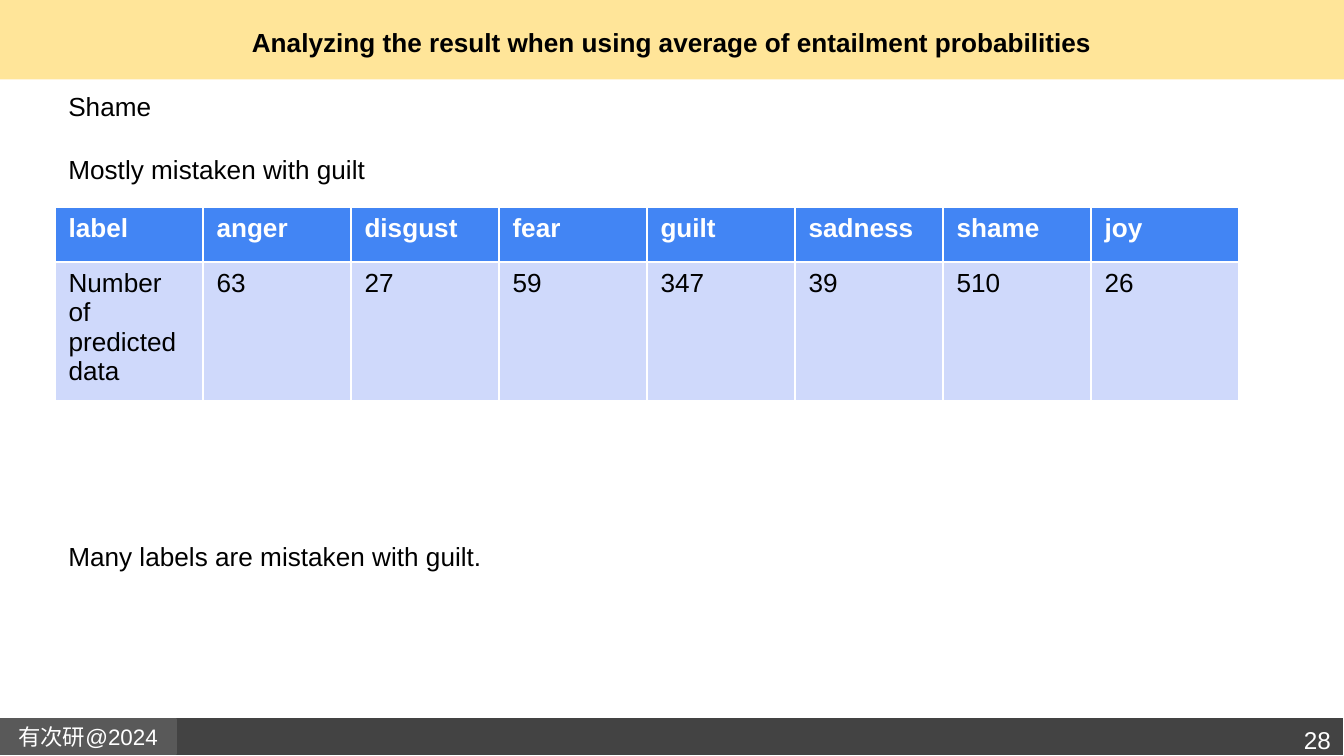
"""Build the slide on labels predicted for shame."""
from pptx import Presentation
from pptx.dml.color import RGBColor
from pptx.enum.shapes import MSO_SHAPE
from pptx.enum.text import MSO_ANCHOR, MSO_AUTO_SIZE, PP_ALIGN
from pptx.util import Inches, Pt

COLORS = {
    "band": "FFE599", "footer": "434343", "tag": "595959",
    "header": "4285F4", "row": "CFD9FB", "white": "FFFFFF", "black": "000000",
}
COUNTS = {
    "label": "Number of predicted data", "anger": "63", "disgust": "27",
    "fear": "59", "guilt": "347", "sadness": "39", "shame": "510", "joy": "26",
}


def rgb(name):
    return RGBColor.from_string(COLORS[name])


def style(p, color="black", size=14, bold=False, align=PP_ALIGN.LEFT):
    p.alignment = align
    p.font.name = "Arial"
    p.font.size = Pt(size)
    p.font.bold = bold
    p.font.color.rgb = rgb(color)


def add_bar(s, box, fill, line=None):
    sp = s.shapes.add_shape(MSO_SHAPE.RECTANGLE, *map(Inches, box))
    sp.shadow.inherit = False
    sp.fill.solid()
    sp.fill.fore_color.rgb = rgb(fill)
    if line:
        sp.line.color.rgb = rgb(line)
        sp.line.width = Pt(0.75)
    else:
        sp.line.fill.background()
    return sp


def add_text(s, box, lines, **font):
    tf = s.shapes.add_textbox(*map(Inches, box)).text_frame
    tf.word_wrap = True
    tf.text = "\n".join(lines)
    for i, p in enumerate(tf.paragraphs):
        if i:
            p.space_before = Pt(17)
        style(p, **font)


def set_title(s, text):
    title = s.shapes.title
    title.left, title.top = Inches(0.34), Inches(0)
    title.width, title.height = Inches(9.32), Inches(0.63)
    tf = title.text_frame
    tf.text = text
    tf.word_wrap = True
    tf.auto_size = MSO_AUTO_SIZE.NONE
    tf.vertical_anchor = MSO_ANCHOR.MIDDLE
    style(tf.paragraphs[0], bold=True, align=PP_ALIGN.CENTER)
    return title


def add_counts(s):
    box = map(Inches, (0.41, 1.54, 8.81, 1.44))
    frame = s.shapes.add_table(2, len(COUNTS), *box)
    table = frame.table
    for row in table.rows:
        row.height = Inches(0.41)
    frame.height = Inches(1.44)
    for c, pair in enumerate(COUNTS.items()):
        for r, text in enumerate(pair):
            cell = table.cell(r, c)
            cell.text = text
            cell.fill.solid()
            cell.fill.fore_color.rgb = rgb("row" if r else "header")
            style(cell.text_frame.paragraphs[0], bold=r == 0,
                  color="black" if r else "white")


def add_footer(s):
    add_bar(s, (0, 5.34, 10, 0.28), "footer", "white")
    tf = add_bar(s, (0, 5.35, 1.31, 0.26), "tag", "tag").text_frame
    tf.text = "有次研@2024"
    tf.word_wrap = True
    tf.vertical_anchor = MSO_ANCHOR.MIDDLE
    style(tf.paragraphs[0], "white", 12, align=PP_ALIGN.CENTER)
    add_text(s, (8.95, 5.35, 1.05, 0.27), ["28"],
             color="white", size=13, align=PP_ALIGN.RIGHT)


def main():
    prs = Presentation()
    prs.slide_width = Inches(10)
    prs.slide_height = prs.slide_width * 9 // 16
    s = prs.slides.add_slide(prs.slide_layouts[5])
    title = set_title(
        s, "Analyzing the result when using average of entailment probabilities")
    band = add_bar(s, (0, 0, 10, 0.59), "band")
    title.element.addprevious(band.element)
    add_footer(s)
    add_text(s, (0.41, 0.62, 3.68, 0.82), ["Shame", "Mostly mistaken with guilt"])
    add_counts(s)
    add_text(s, (0.41, 3.97, 4.24, 0.34), ["Many labels are mistaken with guilt."])
    prs.save("out.pptx")


if __name__ == "__main__":
    main()
